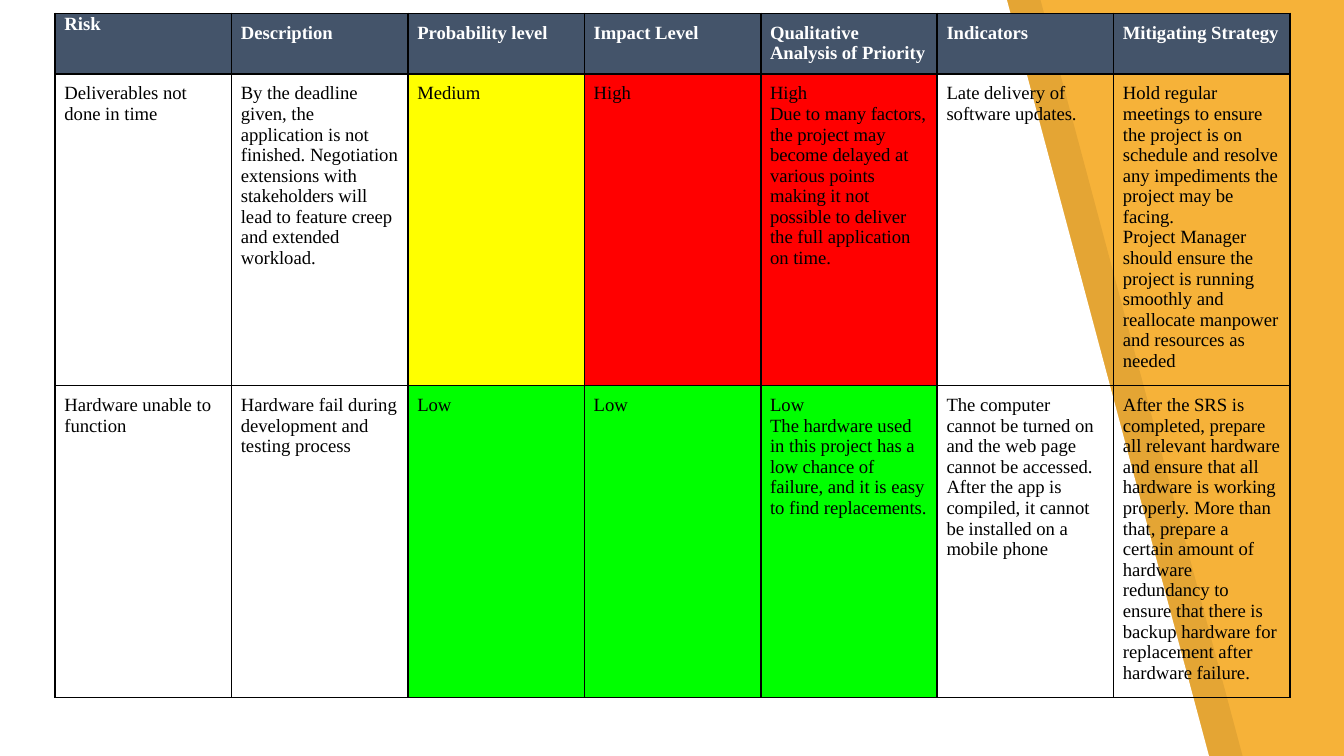
"""Build the project risk register slide."""
from copy import deepcopy

from lxml import etree
from pptx import Presentation
from pptx import util as u
from pptx.dml.color import RGBColor
from pptx.enum import text
from pptx.oxml import ns

AMBER = RGBColor(0xF6, 0xB2, 0x39)
BLACK = RGBColor(0, 0, 0)
WHITE = RGBColor(0xFF, 0xFF, 0xFF)
SLATE = RGBColor(0x44, 0x54, 0x6A)
YELLOW = RGBColor(0xFF, 0xFF, 0)
RED = RGBColor(0xFF, 0, 0)
GREEN = RGBColor(0, 0xFF, 0)

LEVEL_FILLS = {"Low": GREEN, "Medium": YELLOW, "High": RED}
LEVEL_COLUMNS = range(2, 5)
HEADER_FONT = {"name": "Times New Roman", "size": u.Pt(10), "bold": True}
BODY_FONT = {**HEADER_FONT, "bold": False}
TABLE_WIDTH = u.Inches(9.19)
ROW_HEIGHTS = [0.45, 2.32, 2.32]

ROWS = [
    ["Risk", "Description", "Probability level", "Impact Level",
     "Qualitative Analysis of Priority", "Indicators", "Mitigating Strategy"],
    ["Deliverables not done in time",
     "By the deadline given, the application is not finished. Negotiation extensions with "
     "stakeholders will lead to feature creep and extended workload.",
     "Medium",
     "High",
     "High\nDue to many factors, the project may become delayed at various points making it "
     "not possible to deliver the full application on time.",
     "Late delivery of software updates.",
     "Hold regular meetings to ensure the project is on schedule and resolve any impediments "
     "the project may be facing.\nProject Manager should ensure the project is running "
     "smoothly and reallocate manpower and resources as needed"],
    ["Hardware unable to function",
     "Hardware fail during development and testing process",
     "Low",
     "Low",
     "Low\vThe hardware used in this project has a low chance of failure, and it is easy to "
     "find replacements.",
     "The computer cannot be turned on and the web page cannot be accessed. After the app is "
     "compiled, it cannot be installed on a mobile phone",
     "After the SRS is completed, prepare all relevant hardware and ensure that all hardware "
     "is working properly. More than that, prepare a certain amount of hardware redundancy to "
     "ensure that there is backup hardware for replacement after hardware failure."],
]


def add_slanted_panel(slide, left, color, opacity=100):
    """Add a full-height panel with a slanted right edge."""
    points = [(left, -0.01), (left, 5.64), (left + 9, 5.64), (left + 7.49, -0.01)]
    corners = [(u.Inches(x), u.Inches(y)) for x, y in points]
    builder = slide.shapes.build_freeform(*corners[0])
    builder.add_line_segments(corners[1:], close=True)
    shape = builder.convert_to_shape()
    shape.shadow.inherit = False
    shape.line.fill.background()
    shape.fill.solid()
    shape.fill.fore_color.rgb = color
    if opacity < 100:
        color_element = shape.fill._xPr.find(".//" + ns.qn("a:srgbClr"))
        etree.SubElement(color_element, ns.qn("a:alpha"), val=str(opacity * 1000))


def add_borders(cell):
    """Draw a thin black line on all four sides of a cell."""
    properties = cell._tc.get_or_add_tcPr()
    for side in ("lnL", "lnR", "lnT", "lnB"):
        line = etree.SubElement(properties, ns.qn("a:" + side), w=str(u.Pt(1)))
        fill = etree.SubElement(line, ns.qn("a:solidFill"))
        etree.SubElement(fill, ns.qn("a:srgbClr"), val=str(BLACK))


def format_paragraph(paragraph, font_format, font_color):
    """Format the runs of a paragraph and match its line breaks to them."""
    for run in paragraph.runs:
        for name, value in font_format.items():
            setattr(run.font, name, value)
        run.font.color.rgb = font_color
    for line_break in paragraph._p.findall(ns.qn("a:br")):
        line_break.append(deepcopy(paragraph.runs[0].font._element))


def fill_cell(cell, content, font_format, font_color, fill_color):
    """Write and format one table cell."""
    add_borders(cell)
    if fill_color is None:
        cell.fill.background()
    else:
        cell.fill.solid()
        cell.fill.fore_color.rgb = fill_color
    for side in ("left", "right", "top", "bottom"):
        setattr(cell, "margin_" + side, u.Inches(0.07))
    cell.vertical_anchor = text.MSO_ANCHOR.TOP
    cell.text_frame.text = content
    for paragraph in cell.text_frame.paragraphs:
        format_paragraph(paragraph, font_format, font_color)


def add_risk_table(slide):
    """Add the risk table, coloring level cells by their first line."""
    column_count = len(ROWS[0])
    frame = slide.shapes.add_table(
        len(ROWS), column_count, u.Inches(0.41), u.Inches(0.1),
        TABLE_WIDTH, u.Inches(sum(ROW_HEIGHTS)))
    table = frame.table
    for row, height in zip(table.rows, ROW_HEIGHTS):
        row.height = u.Inches(height)
    for row_index, contents in enumerate(ROWS):
        for column_index, content in enumerate(contents):
            cell = table.cell(row_index, column_index)
            if row_index == 0:
                fill_cell(cell, content, HEADER_FONT, WHITE, SLATE)
            else:
                level = content.splitlines()[0]
                color = LEVEL_FILLS[level] if column_index in LEVEL_COLUMNS else None
                fill_cell(cell, content, BODY_FONT, BLACK, color)
    risk_heading = table.cell(0, 0)
    risk_heading.margin_top = risk_heading.margin_bottom = 0


def main():
    """Create and save the presentation."""
    presentation = Presentation()
    presentation.slide_width = u.Inches(10)
    presentation.slide_height = presentation.slide_width * 9 // 16
    slide = presentation.slides.add_slide(presentation.slide_layouts[6])
    slide.background.fill.solid()
    slide.background.fill.fore_color.rgb = AMBER
    add_slanted_panel(slide, 0.25, BLACK, opacity=7)
    add_slanted_panel(slide, 0, WHITE)
    add_risk_table(slide)
    presentation.save("out.pptx")


if __name__ == "__main__":
    main()
